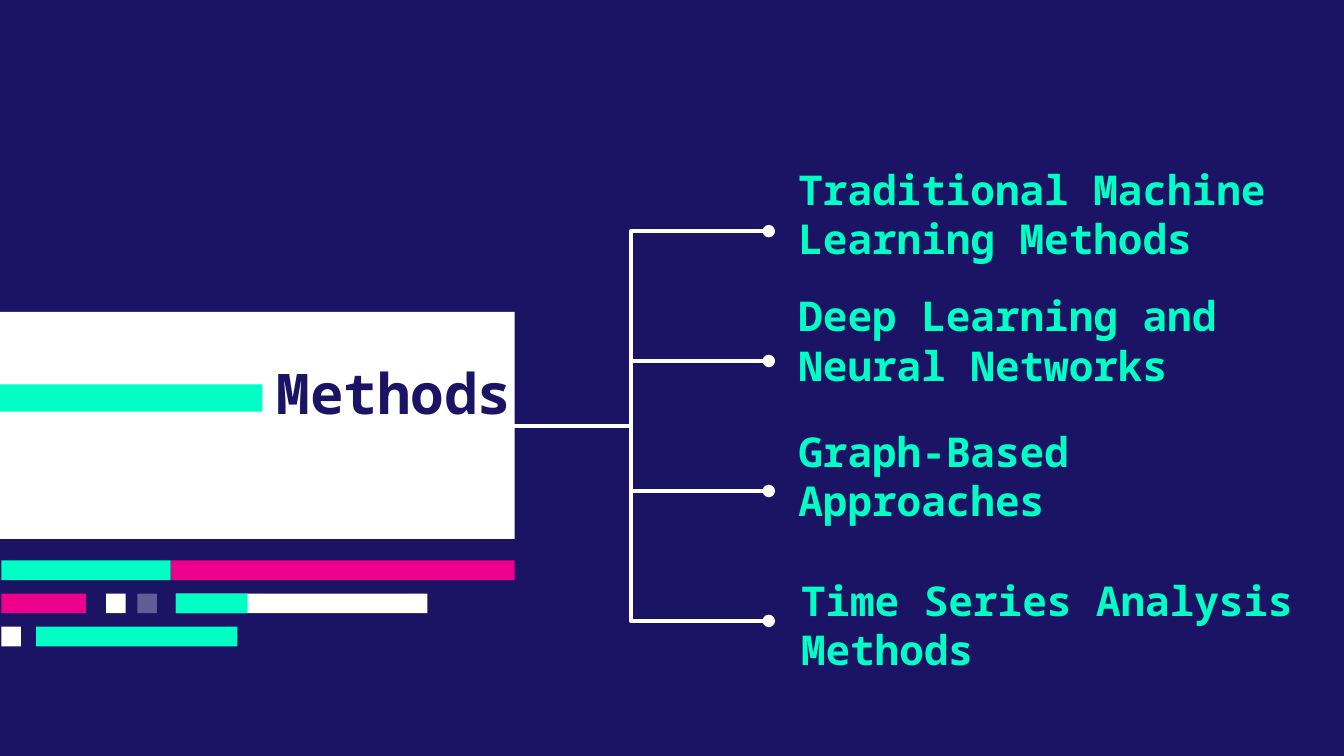
import pptx
import pptx.util
import pptx.dml.color
import pptx.enum.shapes
import pptx.enum.text
import pptx.oxml
import lxml.etree
from pptx.oxml.ns import qn

inch = pptx.util.Inches
WIDE = inch(10)
HIGH = WIDE * 9 // 16
NAVY, MINT, PINK, WHITE = "1B1464", "00FFC5", "EC008C", "FFFFFF"
FONT = "Noto Sans Mono"


def tint(hue):
    return pptx.dml.color.RGBColor.from_string(hue)


def block(slide, left, top, wide, high, hue, alpha=None):
    """Plain filled bar, with an optional opacity in percent."""
    kind = pptx.enum.shapes.MSO_SHAPE.RECTANGLE
    bar = slide.shapes.add_shape(kind, *map(inch, (left, top, wide, high)))
    bar.shadow.inherit = False
    bar.line.fill.background()
    bar.fill.solid()
    bar.fill.fore_color.rgb = tint(hue)
    if alpha:
        color = bar.element.spPr.find(".//" + qn("a:srgbClr"))
        lxml.etree.SubElement(color, qn("a:alpha"), val=str(alpha * 1000))


def write(slide, holder, box, words, size, hue, align):
    """Place a template placeholder on top and fill it with one run."""
    holder.left, holder.top, holder.width, holder.height = map(inch, box)
    slide.shapes.element.append(holder.element)
    frame = holder.text_frame
    frame.word_wrap = True
    frame.auto_size = pptx.enum.text.MSO_AUTO_SIZE.NONE
    frame.vertical_anchor = pptx.enum.text.MSO_ANCHOR.MIDDLE
    frame.margin_left = frame.margin_right = inch(0.1)
    frame.margin_top = frame.margin_bottom = 0
    para = frame.paragraphs[0]
    para.alignment = align
    para.space_before = pptx.util.Pt(0)
    props = para._p.get_or_add_pPr()
    props.set("marL", "0")
    props.set("indent", "0")
    lxml.etree.SubElement(props, qn("a:buNone"))
    run = para.add_run()
    run.text = words
    run.font.name = FONT
    run.font.size = pptx.util.Pt(size)
    run.font.bold = True
    run.font.color.rgb = tint(hue)


def card(slide, left, top, wide, high):
    """White panel with a mint bar and the slide title."""
    block(slide, left, top, wide, high, WHITE)
    block(slide, left, top + 0.32 * high, 0.51 * wide, 0.12 * high, MINT)
    box = (left + 0.46 * wide, top + 0.23 * high, 0.56 * wide, 0.25 * high)
    write(slide, slide.shapes.title, box, "Methods", 30, NAVY,
          pptx.enum.text.PP_ALIGN.RIGHT)


def strips(slide, left, top, wide, high):
    """Three rows of code-like bars; starts and lengths are row shares."""
    rows = [
        [(0.33, 0.67, PINK), (0, 0.33, MINT)],
        [(0.34, 0.49, WHITE), (0.34, 0.14, MINT), (0, 0.165, PINK),
         (0.265, 0.038, WHITE, 31), (0.204, 0.038, WHITE)],
        [(0, 0.038, WHITE), (0.068, 0.392, MINT)],
    ]
    thick = 0.23 * high
    step = (high - thick) / (len(rows) - 1)
    for row, bars in enumerate(rows):
        for start, share, hue, *alpha in bars:
            block(slide, left + start * wide, top + row * step,
                  share * wide, thick, hue, *alpha)


def tree(slide, left, top, wide, high, count):
    """Elbow lines from the middle of the left edge to even rows."""
    elbow = pptx.enum.shapes.MSO_CONNECTOR.ELBOW
    for row in range(count):
        end = top + row * high / (count - 1)
        link = slide.shapes.add_connector(
            elbow, inch(left), inch(top + high / 2),
            inch(left + wide), inch(end))
        link.line.color.rgb = tint(WHITE)
        link.line.width = pptx.util.Pt(2.25)
        line = link.line._get_or_add_ln()
        lxml.etree.SubElement(line, qn("a:tailEnd"), type="oval")
        lxml.etree.SubElement(link.element.spPr, qn("a:effectLst"))


def labels(slide, left, top, items):
    """Method names beside the ends of the tree."""
    holders = [p for p in slide.placeholders if p.placeholder_format.idx]
    for holder, (words, shift, drop, wide) in zip(holders, items):
        box = (left + shift, top + drop, wide, 0.3)
        write(slide, holder, box, words, 22, MINT,
              pptx.enum.text.PP_ALIGN.LEFT)


def main():
    deck = pptx.Presentation()
    deck.slide_width, deck.slide_height = WIDE, HIGH
    # The comparison layout has a title and four body placeholders
    slide = deck.slides.add_slide(deck.slide_layouts[4])
    slide.background.fill.solid()
    slide.background.fill.fore_color.rgb = tint(NAVY)

    # Text, shift from the left, drop from the top, width
    items = [
        ("Traditional Machine Learning Methods", 0, 0, 4.11),
        ("Deep Learning and Neural Networks", 0, 0.94, 4.04),
        ("Graph-Based Approaches", 0, 1.95, 2.95),
        ("Time Series Analysis Methods", 0.02, 3.06, 4),
    ]
    card(slide, 0, 2.32, 3.83, 1.69)
    strips(slide, 0.01, 4.17, 3.82, 0.64)
    tree(slide, 3.67, 1.72, 2.05, 2.9, len(items))
    labels(slide, 5.84, 1.44, items)
    deck.save("out.pptx")


if __name__ == "__main__":
    main()
